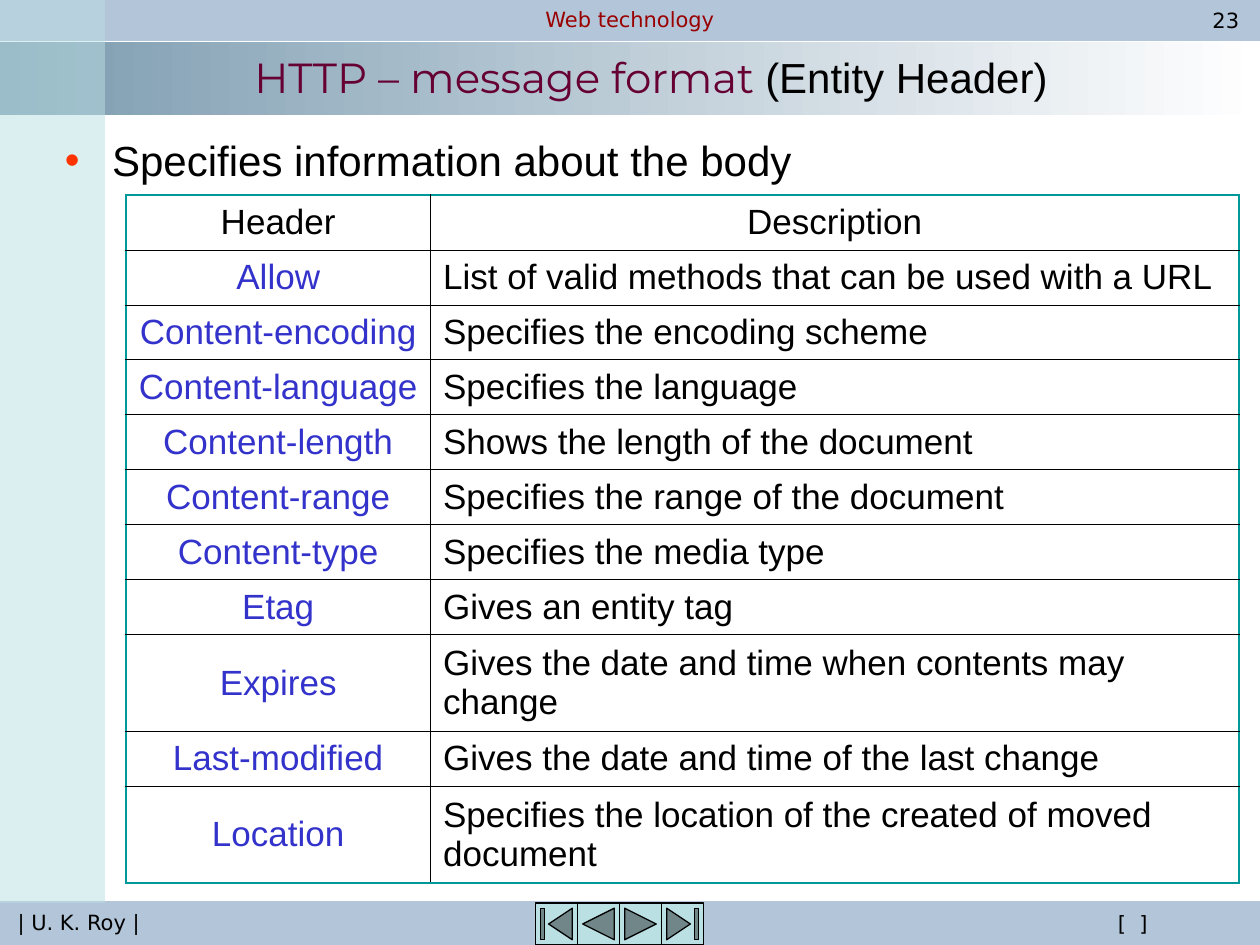
import lxml.etree
import pptx
import pptx.dml.color
import pptx.enum.shapes
import pptx.enum.text
import pptx.oxml.ns
import pptx.util

Pt = pptx.util.Pt
Shape = pptx.enum.shapes.MSO_SHAPE
Align = pptx.enum.text.PP_ALIGN
Anchor = pptx.enum.text.MSO_ANCHOR

HUES = {
    "steel": "7C9BB0", "white": "FFFFFF", "bar": "B3C5D9", "aqua": "BBE0E3",
    "teal": "009999", "black": "000000", "red": "990000", "plum": "660033",
    "blue": "3333CC", "dot": "FF3300", "shade": "808080",
}
ROWS = [
    ("Header", "Description"),
    ("Allow", "List of valid methods that can be used with a URL"),
    ("Content-encoding", "Specifies the encoding scheme"),
    ("Content-language", "Specifies the language"),
    ("Content-length", "Shows the length of the document"),
    ("Content-range", "Specifies the range of the document"),
    ("Content-type", "Specifies the media type"),
    ("Etag", "Gives an entity tag"),
    ("Expires", "Gives the date and time when contents may change"),
    ("Last-modified", "Gives the date and time of the last change"),
    ("Location", "Specifies the location of the created of moved document"),
]
TALL = ("Expires", "Location")


def rgb(hue):
    """Return the named colour."""
    return pptx.dml.color.RGBColor.from_string(HUES[hue])


def node(root, tag, **attrs):
    """Append a drawing element with its attributes."""
    return lxml.etree.SubElement(root, pptx.oxml.ns.qn(tag), attrs)


def write(para, text, size=12, face="DejaVu Sans", hue="black", align=Align.CENTER, shade=False):
    """Add a formatted run to a paragraph."""
    para.alignment = align
    run = para.add_run()
    run.text = text
    run.font.size = Pt(size)
    run.font.name = face
    run.font.color.rgb = rgb(hue)
    if shade:
        props = run._r.get_or_add_rPr()
        effect = node(props, "a:effectLst")
        cast = node(effect, "a:outerShdw", dist="25400", dir="2700000")
        node(cast, "a:srgbClr", val=HUES["shade"])
        props.find(pptx.oxml.ns.qn("a:solidFill")).addnext(effect)


class Page:
    """Holds the slide and the style of its elements."""

    def __init__(self, slide, face="Arial", thin=0.45, thick=1.47):
        self.slide = slide
        self.face = face
        self.thin = thin
        self.thick = thick

    def block(self, box, hue, line=None, kind=Shape.RECTANGLE):
        """Draw a filled preset shape."""
        shape = self.slide.shapes.add_shape(kind, *map(Pt, box))
        shape.shadow.inherit = False
        shape.fill.solid()
        shape.fill.fore_color.rgb = rgb(hue)
        if line:
            shape.line.color.rgb = rgb(line)
            shape.line.width = Pt(0.75)
        else:
            shape.line.fill.background()
        return shape

    def fade(self, box, start, end):
        """Draw a band that blends two colours from left to right."""
        fill = self.block(box, start).fill
        fill.gradient()
        fill.gradient_angle = 0
        for stop, hue in zip(fill.gradient_stops, (start, end)):
            stop.color.rgb = rgb(hue)

    def veil(self, box, hue, share):
        """Draw a see-through block."""
        shape = self.block(box, hue)
        tint = shape._element.spPr.find(".//" + pptx.oxml.ns.qn("a:srgbClr"))
        node(tint, "a:alpha", val=str(share * 1000))

    def text(self, box, anchor=Anchor.MIDDLE, inset=0):
        """Add a text box and return its first paragraph."""
        frame = self.slide.shapes.add_textbox(*map(Pt, box)).text_frame
        frame.word_wrap = True
        frame.vertical_anchor = anchor
        frame.margin_left = frame.margin_right = Pt(2 * inset)
        frame.margin_top = frame.margin_bottom = Pt(inset)
        return frame.paragraphs[0]

    def point(self, box, text):
        """Add a bulleted line."""
        para = self.text(box, Anchor.TOP, 3.6)
        props = para._p.get_or_add_pPr()
        props.set("marL", str(Pt(27)))
        props.set("indent", str(-Pt(27)))
        node(node(props, "a:buClr"), "a:srgbClr", val=HUES["dot"])
        node(props, "a:buFont", typeface=self.face)
        node(props, "a:buChar", char="•")
        write(para, text, size=24, face=self.face, align=Align.LEFT)

    def edge(self, cell, outer):
        """Rule a cell, with heavy lines on its outer sides."""
        props = cell._tc.get_or_add_tcPr()
        for side in "LRTB":
            width, hue = (self.thick, "teal") if side in outer else (self.thin, "black")
            line = node(props, "a:ln" + side, w=str(Pt(width)))
            node(node(line, "a:solidFill"), "a:srgbClr", val=HUES[hue])
        cell.fill.background()

    def table(self, left, top, widths, rows):
        """Add the ruled table of headers."""
        highs = [55.4 if row[0] in TALL else 31.4 for row in rows]
        grid = self.slide.shapes.add_table(
            len(rows), len(widths), Pt(left), Pt(top), Pt(sum(widths)), Pt(sum(highs))).table
        grid.first_row = grid.horz_banding = False
        for col, width in zip(grid.columns, widths):
            col.width = Pt(width)
        for r, row in enumerate(rows):
            grid.rows[r].height = Pt(highs[r])
            for c, text in enumerate(row):
                cell = grid.cell(r, c)
                cell.vertical_anchor = Anchor.MIDDLE
                outer = "LR"[c] + ("T" if r == 0 else "") + ("B" if r == len(rows) - 1 else "")
                self.edge(cell, outer)
                write(cell.text_frame.paragraphs[0], text, size=20, face=self.face,
                      hue="blue" if r and not c else "black",
                      align=Align.LEFT if r and c else Align.CENTER)


def main():
    """Build and save the slide."""
    deck = pptx.Presentation()
    deck.slide_width, deck.slide_height = Pt(720), Pt(540)
    page = Page(deck.slides.add_slide(deck.slide_layouts[6]))

    page.fade((0, 24, 720, 42), "steel", "white")
    page.block((0, 0, 720, 23), "bar", "bar")
    page.block((0, 515.5, 720, 24), "bar", "bar")
    write(page.text((252, 0, 216, 22)), "Web technology", hue="red")
    write(page.text((0, 516, 90, 22)), "| U. K. Roy |")
    write(page.text((576, 516, 142.5, 23)), "[  ]", shade=True)
    write(page.text((682.5, 0, 36, 23)), "23")

    kinds = (Shape.ACTION_BUTTON_BEGINNING, Shape.ACTION_BUTTON_BACK_OR_PREVIOUS,
             Shape.ACTION_BUTTON_FORWARD_OR_NEXT, Shape.ACTION_BUTTON_END)
    for i, kind in enumerate(kinds):
        page.block((306 + 24 * i, 516, 24, 24), "aqua", "black", kind)

    page.veil((0, 0, 60, 516), "aqua", 50)
    title = page.text((60, 9.5, 624, 68.5), inset=3.6)
    write(title, "HTTP – message format ", size=24, face="Montserrat", hue="plum", shade=True)
    write(title, "(Entity Header)", size=24, face=page.face, shade=True)
    page.table(72, 111.5, (174, 462), ROWS)
    page.point((30, 73.5, 690, 36), "Specifies information about the body")
    deck.save("out.pptx")


if __name__ == "__main__":
    main()
